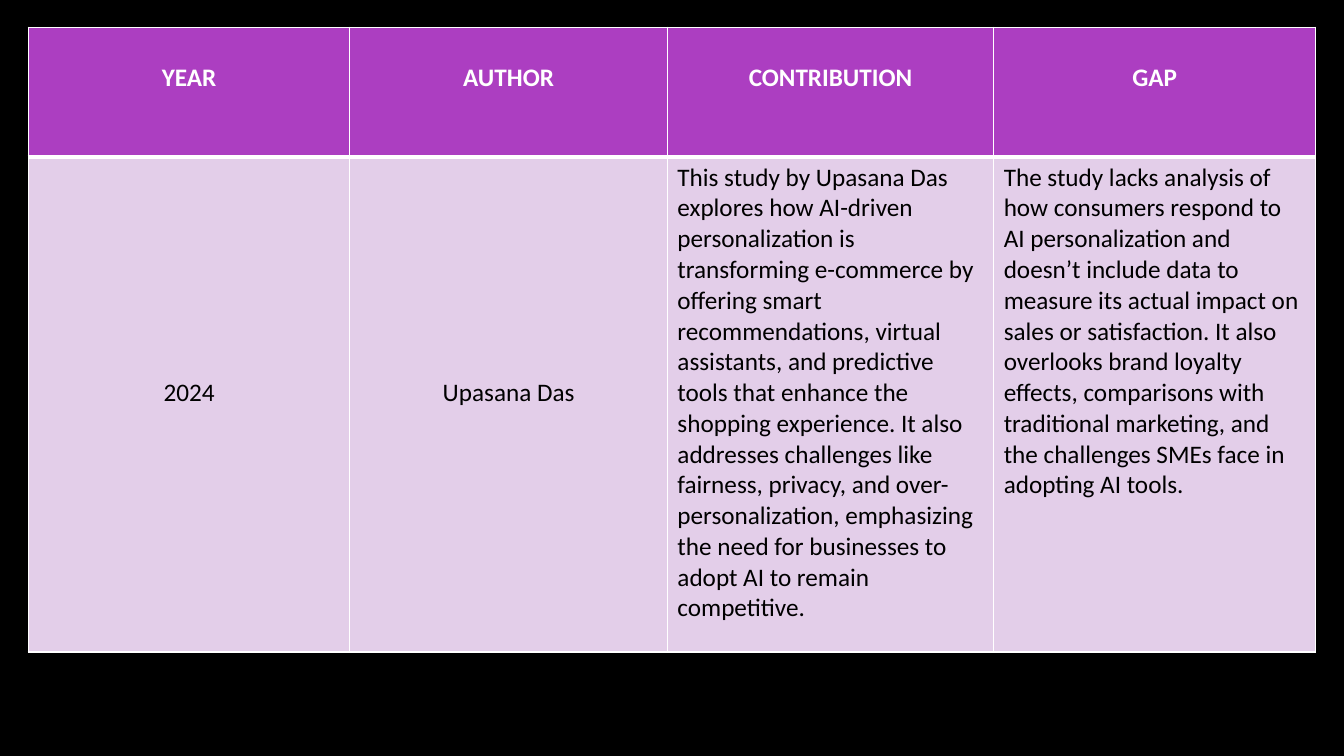
from lxml import etree
from pptx import Presentation
from pptx.dml.color import RGBColor
from pptx.enum.text import PP_ALIGN
from pptx.oxml.ns import qn
from pptx.util import Pt

CENTER, LEFT = PP_ALIGN.CENTER, PP_ALIGN.LEFT
COLORS = {"back": "000000", "head": "AC3EC1", "body": "E3CEE9",
          "light": "FFFFFF", "dark": "000000"}
FONT = {"name": "Calibri", "size": Pt(18)}
LINE = 22
INSET = 3.6
WIDTHS = [229.7, 226.8, 233.1, 230]
HEIGHTS = [92.9, 353.5]
HEADS = ["YEAR", "AUTHOR", "CONTRIBUTION", "GAP"]
STUDY = [
    ("2024", CENTER, 7),
    ("Upasana Das", CENTER, 7),
    ("This study by Upasana Das explores how AI-driven personalization is "
     "transforming e-commerce by offering smart recommendations, virtual "
     "assistants, and predictive tools that enhance the shopping experience. "
     "It also addresses challenges like fairness, privacy, and "
     "over-personalization, emphasizing the need for businesses to adopt AI "
     "to remain competitive.", LEFT, 0),
    ("The study lacks analysis of how consumers respond to AI personalization "
     "and doesn’t include data to measure its actual impact on sales or "
     "satisfaction. It also overlooks brand loyalty effects, comparisons with "
     "traditional marketing, and the challenges SMEs face in adopting AI "
     "tools.", LEFT, 0),
]
HEAD = {"fill": "head", "ink": "light", "bold": True,
        "edges": {"L": 1, "R": 1, "T": 1, "B": 3}}
BODY = {"fill": "body", "ink": "dark", "bold": False,
        "edges": {"L": 1, "R": 1, "T": 3, "B": 1}}


def color(name):
    return RGBColor.from_string(COLORS[name])


def paint(fill, name):
    fill.solid()
    fill.fore_color.rgb = color(name)


def add_edges(cell, edges):
    props = cell._tc.get_or_add_tcPr()
    for side, width in edges.items():
        line = etree.SubElement(props, qn(f"a:ln{side}"), w=str(Pt(width)))
        solid = etree.SubElement(line, qn("a:solidFill"))
        etree.SubElement(solid, qn("a:srgbClr"), val=COLORS["light"])


def fill_cell(cell, text, align, drop, look):
    add_edges(cell, look["edges"])
    paint(cell.fill, look["fill"])
    cell.margin_top = Pt(INSET + drop * LINE)
    para = cell.text_frame.paragraphs[0]
    para.alignment = align
    run = para.add_run()
    run.text = text
    for key, value in {**FONT, "bold": look["bold"]}.items():
        setattr(run.font, key, value)
    run.font.color.rgb = color(look["ink"])


def add_grid(slide):
    frame = slide.shapes.add_table(
        len(HEIGHTS), len(WIDTHS), Pt(20.2), Pt(19.4),
        Pt(sum(WIDTHS)), Pt(sum(HEIGHTS)))
    table = frame.table
    for col, width in zip(table.columns, WIDTHS):
        col.width = Pt(width)
    for row, height in zip(table.rows, HEIGHTS):
        row.height = Pt(height)
    heads = [(text, CENTER, 1) for text in HEADS]
    for row, items, look in zip(table.rows, (heads, STUDY), (HEAD, BODY)):
        for cell, item in zip(row.cells, items):
            fill_cell(cell, *item, look)


def main():
    deck = Presentation()
    deck.slide_width, deck.slide_height = Pt(960), Pt(540)
    slide = deck.slides.add_slide(deck.slide_layouts[6])
    paint(slide.background.fill, "back")
    add_grid(slide)
    deck.save("out.pptx")


if __name__ == "__main__":
    main()
